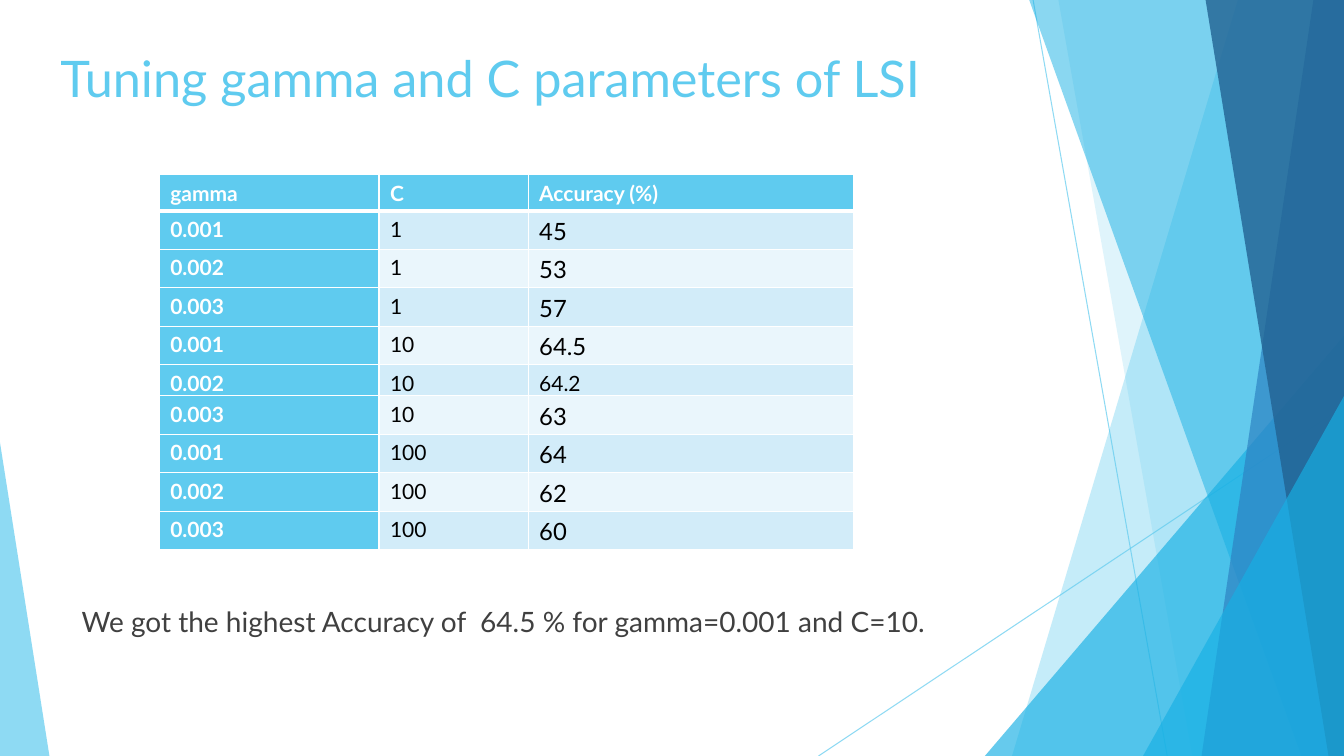
from lxml import etree
from pptx import Presentation, util as u
from pptx.dml.color import RGBColor
from pptx.enum import shapes, text
from pptx.oxml import ns

COLORS = {
    "sky": "5FCBEF", "cyan": "17B0E4", "blue": "2E83C3", "navy": "226292",
    "white": "FFFFFF", "black": "000000", "gray": "404040",
    "band_dark": "D2ECF9", "band_light": "EAF6FC",
}


class SlideBuilder:
    """Draws on one page; every length is a percentage of the page size."""

    font = "Lato"

    def __init__(self, deck):
        self.width, self.height = deck.slide_width, deck.slide_height
        self.page = deck.slides.add_slide(deck.slide_layouts[6])

    def across(self, share):
        return u.Emu(round(self.width * share / 100))

    def down(self, share):
        return u.Emu(round(self.height * share / 100))

    def frame(self, left, top, width, height):
        return self.across(left), self.down(top), self.across(width), self.down(height)

    def paint(self, fill, color, opacity=100):
        fill.solid()
        fill.fore_color.rgb = RGBColor.from_string(COLORS[color])
        if opacity < 100:
            tint = fill._xPr.find(".//" + ns.qn("a:srgbClr"))
            etree.SubElement(tint, ns.qn("a:alpha"), val=str(opacity * 1000))

    def finish(self, shape, color, opacity):
        shape.shadow.inherit = False
        shape.line.fill.background()
        self.paint(shape.fill, color, opacity)

    def style(self, para, size, color, bold=False):
        para.font.name = self.font
        para.font.size = u.Pt(size)
        para.font.bold = bold
        para.font.color.rgb = RGBColor.from_string(COLORS[color])

    def line(self, start, end):
        line = self.page.shapes.add_connector(
            shapes.MSO_CONNECTOR.STRAIGHT,
            self.across(start[0]), self.down(start[1]),
            self.across(end[0]), self.down(end[1]))
        line.line.width = u.Pt(0.75)
        self.paint(line.line.fill, "sky", 70)
        etree.SubElement(line._element.spPr, ns.qn("a:effectLst"))

    def panel(self, top_left, bottom_left, color, opacity):
        """Full-height panel with a slanted left edge, flush with the right side."""
        outline = self.page.shapes.build_freeform(self.across(top_left), 0)
        outline.add_line_segments(
            [(self.width, 0), (self.width, self.height),
             (self.across(bottom_left), self.height)], close=True)
        self.finish(outline.convert_to_shape(), color, opacity)

    def triangle(self, left, top, width, apex, color, opacity):
        """Triangle that stands on the bottom of the page."""
        shape = self.page.shapes.add_shape(
            shapes.MSO_SHAPE.ISOSCELES_TRIANGLE, *self.frame(left, top, width, 100 - top))
        shape.adjustments[0] = apex
        self.finish(shape, color, opacity)

    def label(self, words, box, size, color, before=0):
        body = self.page.shapes.add_textbox(*self.frame(*box)).text_frame
        body.word_wrap = True
        body.vertical_anchor = text.MSO_ANCHOR.TOP
        para = body.paragraphs[0]
        para.text = words
        para.space_before = u.Pt(before)
        self.style(para, size, color)

    def borders(self, cell, top, bottom):
        props = cell._tc.get_or_add_tcPr()
        for place, (side, points) in enumerate(
                (("L", 1), ("R", 1), ("T", top), ("B", bottom))):
            edge = etree.Element(ns.qn("a:ln" + side), w=str(u.Pt(points)))
            fill = etree.SubElement(edge, ns.qn("a:solidFill"))
            etree.SubElement(fill, ns.qn("a:srgbClr"), val=COLORS["white"])
            props.insert(place, edge)

    def cell(self, cell, words, fill, size, color, bold):
        cell.margin_left, cell.margin_right = u.Inches(0.11), u.Inches(0.1)
        cell.margin_top, cell.margin_bottom = u.Inches(0.04), 0
        para = cell.text_frame.paragraphs[0]
        para.text = words
        para.line_spacing = 1.07
        para.space_after = u.Pt(8)
        self.style(para, size, color, bold)
        self.paint(cell.fill, fill)

    def table(self, left, top, columns, heights, rows, small):
        """Banded table; cells listed in small keep the label size."""
        grid = self.page.shapes.add_table(
            len(rows), len(columns),
            *self.frame(left, top, sum(columns), sum(heights))).table
        for column, width in zip(grid.columns, columns):
            column.width = self.across(width)
        for r, values in enumerate(rows):
            grid.rows[r].height = self.down(heights[r])
            band = "band_dark" if r % 2 else "band_light"
            for c, words in enumerate(values):
                cell = grid.cell(r, c)
                heading = r == 0 or c == 0
                large = c == 2 and not heading and words not in small
                self.cell(cell, words, "sky" if heading else band,
                          17 if large else 15,
                          "white" if heading else "black", heading)
                self.borders(cell, 3 if r == 1 else 1, 3 if r == 0 else 1)


def main():
    deck = Presentation()
    deck.slide_width, deck.slide_height = u.Inches(13.33), u.Inches(7.5)
    slide = SlideBuilder(deck)

    # Background facets, back to front
    slide.line((76.87, 0), (86.85, 100))
    slide.line((100, 53.73), (60.9, 100))
    slide.panel(92.1, 75.3, "sky", 36)
    slide.panel(78.75, 88.72, "sky", 20)
    slide.triangle(73.28, 44.4, 26.72, 1, "cyan", 66)
    slide.panel(76.58, 96.82, "cyan", 50)
    slide.panel(97.72, 89.4, "blue", 70)
    slide.panel(89.7, 98.85, "navy", 80)
    slide.triangle(85.05, 52.4, 14.95, 1, "cyan", 66)
    slide.triangle(0, 58.53, 3.68, 0, "sky", 70)

    # Title and conclusion
    slide.label("Tuning gamma and C parameters of LSI", (3.75, 5.6, 70.5, 19.2), 36, "sky")
    slide.label("We got the highest Accuracy of  64.5 % for gamma=0.001 and C=10.",
                (5.33, 79.33, 64.88, 10.67), 20, "gray", before=10)

    # Accuracy for each pair of parameters
    gammas = ("0.001", "0.002", "0.003")
    accuracy = {"1": ("45", "53", "57"), "10": ("64.5", "64.2", "63"),
                "100": ("64", "62", "60")}
    rows = [("gamma", "C", "Accuracy (%)")]
    rows += [(gamma, c, score) for c, scores in accuracy.items()
             for gamma, score in zip(gammas, scores)]
    heights = [4.8] + [5.09] * 4 + [4.1] + [5.09] * 4
    slide.table(11.85, 23.1, (16.35, 11.1, 24.23), heights, rows, small=("64.2",))

    deck.save("out.pptx")


if __name__ == "__main__":
    main()
